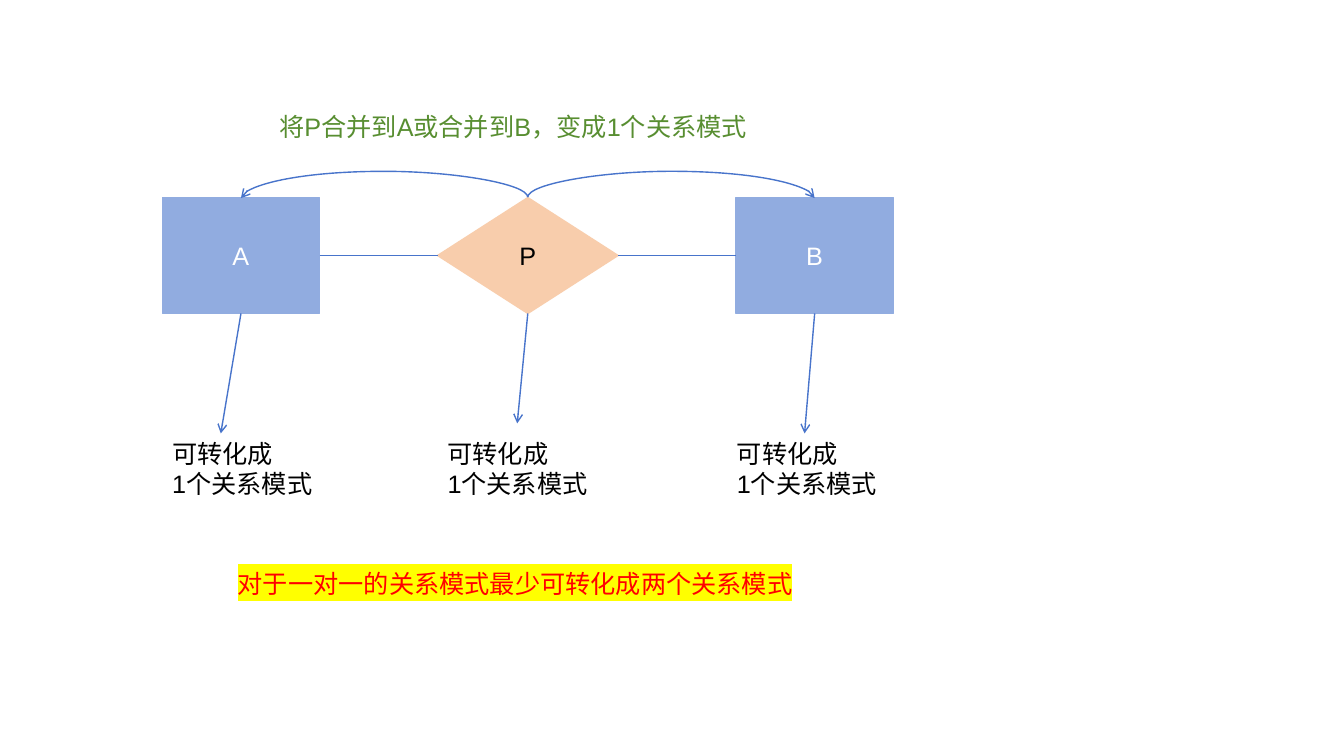
from dataclasses import dataclass

from lxml.etree import SubElement
from pptx import Presentation
from pptx.dml.color import RGBColor
from pptx.enum.shapes import MSO_CONNECTOR as Link, MSO_SHAPE as Preset
from pptx.enum.text import MSO_ANCHOR, MSO_AUTO_SIZE, PP_ALIGN
from pptx.oxml.ns import qn
from pptx.util import Inches, Pt


@dataclass(frozen=True)
class Theme:
    font: str = "Arial"
    size: int = 18
    line_width: int = 1
    entity: str = "91ACE0"
    relation: str = "F8CDAC"
    line: str = "4874CB"
    light: str = "FFFFFF"
    dark: str = "000000"
    merge: str = "588E31"
    conclusion: str = "FF0000"
    marker: str = "FFFF00"


THEME = Theme()
NODE_TOP, NODE_HEIGHT = 1.96, 1.15
NODE_MIDDLE = NODE_TOP + NODE_HEIGHT / 2
NODE_BOTTOM = NODE_TOP + NODE_HEIGHT
NOTE_TOP = 4.3
ARC_RISE, ARC_DEPTH = 0.26, 0.01


def rgb(value):
    return RGBColor.from_string(value)


def write(frame, lines, color, align=PP_ALIGN.LEFT):
    frame.word_wrap = True
    frame.text = "\n".join(lines)
    for paragraph in frame.paragraphs:
        paragraph.alignment = align
        for run in paragraph.runs:
            for name, value in {"name": THEME.font, "size": Pt(THEME.size)}.items():
                setattr(run.font, name, value)
            run.font.color.rgb = rgb(color)


def add_node(slide, preset, label, left, width, fill, color):
    node = slide.shapes.add_shape(
        preset, Inches(left), Inches(NODE_TOP), Inches(width), Inches(NODE_HEIGHT))
    node.shadow.inherit = False
    node.fill.solid()
    node.fill.fore_color.rgb = rgb(fill)
    node.line.color.rgb = rgb(fill)
    node.line.width = Pt(THEME.line_width)
    node.text_frame.vertical_anchor = MSO_ANCHOR.MIDDLE
    write(node.text_frame, [label], color, PP_ALIGN.CENTER)


def add_text(slide, lines, left, top, width, height, color):
    box = slide.shapes.add_textbox(
        Inches(left), Inches(top), Inches(width), Inches(height))
    write(box.text_frame, lines, color)
    box.text_frame.auto_size = MSO_AUTO_SIZE.SHAPE_TO_FIT_TEXT
    return box


def highlight(box, color):
    for fill in box.element.iter(qn("a:solidFill")):
        marker = fill.makeelement(qn("a:highlight"), {})
        SubElement(marker, qn("a:srgbClr"), val=color)
        fill.addnext(marker)


def add_link(slide, start, end, arrow=False, kind=Link.STRAIGHT):
    link = slide.shapes.add_connector(
        kind, *(Inches(value) for value in (*start, *end)))
    link.line.color.rgb = rgb(THEME.line)
    link.line.width = Pt(THEME.line_width)
    if arrow:
        SubElement(link.line._get_or_add_ln(), qn("a:tailEnd"), type="arrow")
    SubElement(link.element.spPr, qn("a:effectLst"))
    return link


def add_arc(slide, start_x, end_x):
    """Arch an arrow over the nodes: an upright curve turned by 270 degrees."""
    center, half_span = (start_x + end_x) / 2, (end_x - start_x) / 2
    half_depth = ARC_DEPTH / 2
    arc = add_link(
        slide,
        (center + half_depth, NODE_TOP - half_span),
        (center - half_depth, NODE_TOP + half_span),
        arrow=True, kind=Link.CURVE)
    properties = arc.element.spPr
    properties.find(qn("a:xfrm")).set("rot", str(270 * 60000))
    geometry = properties.find(qn("a:prstGeom"))
    adjustments = geometry.find(qn("a:avLst"))
    if adjustments is None:
        adjustments = SubElement(geometry, qn("a:avLst"))
    bend = round(-ARC_RISE / ARC_DEPTH * 100000)
    SubElement(adjustments, qn("a:gd"), name="adj1", fmla=f"val {bend}")


def main():
    deck = Presentation()
    deck.slide_width, deck.slide_height = Inches(13.33), Inches(7.5)
    slide = deck.slides.add_slide(deck.slide_layouts[6])

    entity = (Preset.RECTANGLE, THEME.entity, THEME.light)
    relation = (Preset.DIAMOND, THEME.relation, THEME.dark)
    # label, style, left, width, note left, arrow tip
    nodes = [
        ("A", entity, 1.61, 1.56, 1.61, (2.19, 4.3)),
        ("P", relation, 4.34, 1.79, 4.34, (5.13, 4.2)),
        ("B", entity, 7.3, 1.56, 7.21, (7.98, 4.3)),
    ]
    centers = {}
    for label, (preset, fill, color), left, width, note_left, tip in nodes:
        centers[label] = left + width / 2
        add_node(slide, preset, label, left, width, fill, color)
        add_link(slide, (centers[label], NODE_BOTTOM), tip, arrow=True)
        add_text(slide, ["可转化成", "1个关系模式"],
                 note_left, NOTE_TOP, 1.75, 0.71, THEME.dark)

    for (_, _, left, width, *_), (_, _, next_left, *_) in zip(nodes, nodes[1:]):
        add_link(slide, (left + width, NODE_MIDDLE), (next_left, NODE_MIDDLE))
    for target in "AB":
        add_arc(slide, centers["P"], centers[target])

    add_text(slide, ["将P合并到A或合并到B，变成1个关系模式"],
             2.67, 1.06, 5.14, 0.4, THEME.merge)
    conclusion = add_text(slide, ["对于一对一的关系模式最少可转化成两个关系模式"],
                          2.26, 5.59, 5.95, 0.4, THEME.conclusion)
    highlight(conclusion, THEME.marker)
    deck.save("out.pptx")


if __name__ == "__main__":
    main()
